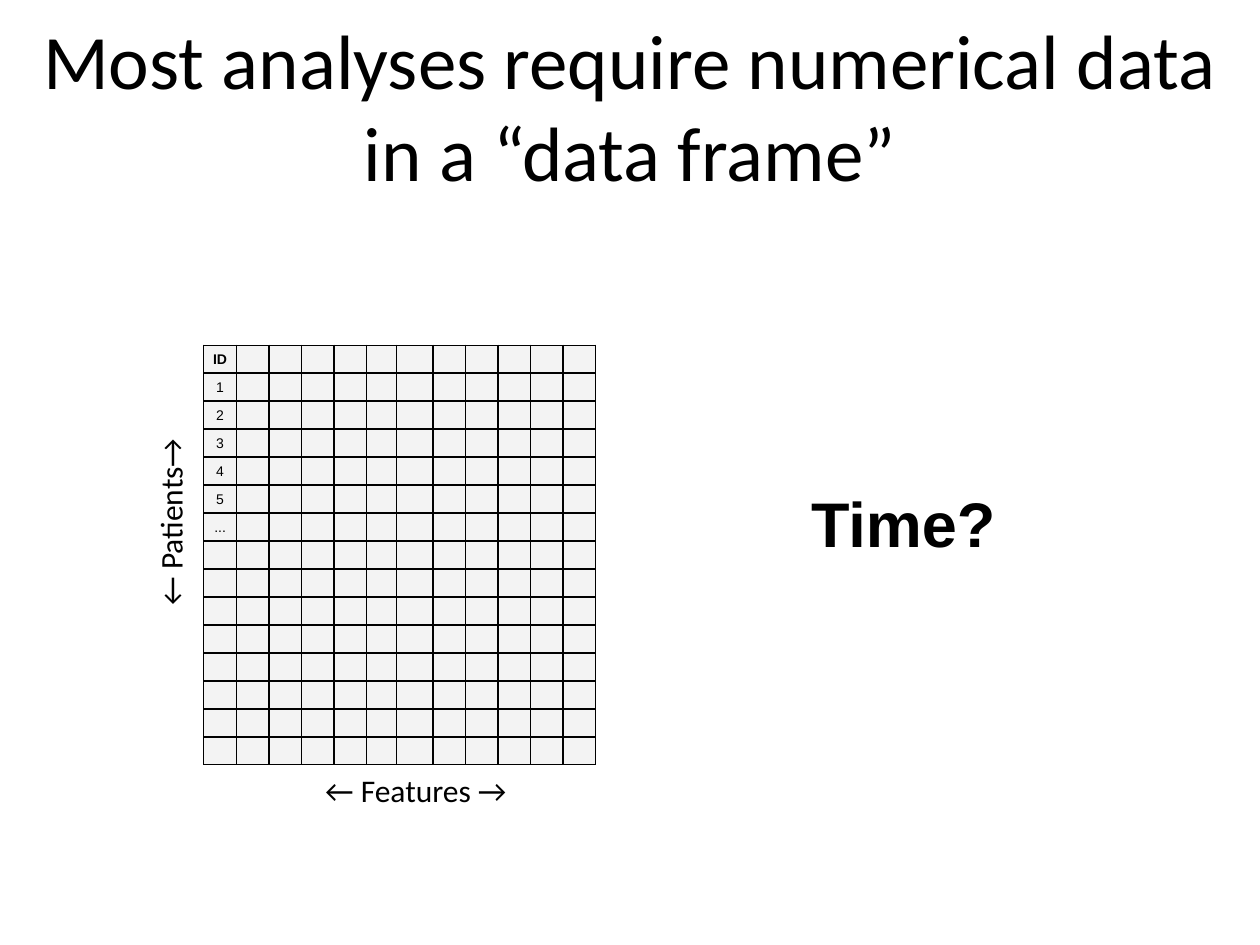
"""Build a slide on numerical data frames of patients and features."""
from lxml import etree
from pptx import Presentation, util as u
from pptx.dml.color import RGBColor
from pptx.enum import text
from pptx.oxml.ns import qn

HUES = {"ink": "000000", "cell": "F3F3F3"}
BODY = {"name": "Calibri", "size": u.Pt(18)}
MID = text.PP_ALIGN.CENTER
LEFT = text.PP_ALIGN.LEFT

NOTES = [
    ("Most analyses require numerical data in a “data frame”", (0, 0, 25.4, 4.67),
     {"name": "Calibri", "size": u.Pt(44)}, MID, 0.25, 0, True),
    ("← Patients→", (0.43, 10.01, 6, 1.02), BODY, MID, 0.13, 270, True),
    ("← Features →", (5.82, 15.42, 5.13, 1.02), BODY, MID, 0.13, 0, True),
    ("Time?", (16.1, 9.63, 4.27, 1.8),
     {"name": "Arial", "size": u.Pt(36), "bold": True}, LEFT, 0.13, 0, False),
]

IDS = ["ID", "1", "2", "3", "4", "5", "..."]
ROWS = 15
PARTS = [26] * 5 + [24, 29] + [26] * 5
GRID = (4.11, 6.96, 7.9, 8.47)
EDGE, INNER = 0.75, 1


def put(item, values):
    for key, value in values.items():
        setattr(item, key, value)


def write(para, words, style, align=MID):
    para.alignment = align
    run = para.add_run()
    run.text = words
    put(run.font, style)
    run.font.color.rgb = RGBColor.from_string(HUES["ink"])


def add_note(slide, words, area, style, align, pad, turn, wrap):
    box = slide.shapes.add_textbox(*map(u.Cm, area))
    box.rotation = turn
    frame = box.text_frame
    put(frame, {
        "word_wrap": wrap,
        "auto_size": text.MSO_AUTO_SIZE.NONE if wrap
        else text.MSO_AUTO_SIZE.SHAPE_TO_FIT_TEXT,
        "vertical_anchor": text.MSO_ANCHOR.TOP,
        "margin_top": u.Cm(pad), "margin_bottom": u.Cm(pad),
        "margin_left": u.Cm(0.25), "margin_right": u.Cm(0.25),
    })
    write(frame.paragraphs[0], words, style, align)


def rule(cell, sides):
    props = cell._tc.get_or_add_tcPr()
    for side, outer in sides.items():
        width = u.Pt(EDGE if outer else INNER)
        line = etree.SubElement(props, qn(f"a:ln{side}"), w=str(int(width)))
        fill = etree.SubElement(line, qn("a:solidFill"))
        etree.SubElement(fill, qn("a:srgbClr"), val=HUES["ink"])


def add_grid(slide):
    cols = len(PARTS)
    table = slide.shapes.add_table(ROWS, cols, *map(u.Cm, GRID)).table
    put(table, {"first_row": False, "horz_banding": False})
    for col, part in zip(table.columns, PARTS):
        col.width = u.Cm(GRID[2] * part / sum(PARTS))
    for r, row in enumerate(table.rows):
        row.height = u.Cm(GRID[3] / ROWS)
        for c, cell in enumerate(row.cells):
            put(cell, {"margin_left": 0, "margin_right": 0, "margin_top": 0,
                       "margin_bottom": 0, "vertical_anchor": text.MSO_ANCHOR.MIDDLE})
            rule(cell, {"L": c == 0, "R": c == cols - 1,
                        "T": r == 0, "B": r == ROWS - 1})
            cell.fill.solid()
            cell.fill.fore_color.rgb = RGBColor.from_string(HUES["cell"])
            para = cell.text_frame.paragraphs[0]
            if c == 0 and r < len(IDS):
                write(para, IDS[r], {"name": "Arial", "size": u.Pt(8), "bold": r == 0})
            else:
                etree.SubElement(para._p, qn("a:endParaRPr"), sz="800")


def main():
    deck = Presentation()
    put(deck, {"slide_width": u.Cm(25.4), "slide_height": u.Cm(19.05)})
    slide = deck.slides.add_slide(deck.slide_layouts[6])
    add_note(slide, *NOTES[0])
    add_grid(slide)
    for note in NOTES[1:]:
        add_note(slide, *note)
    deck.save("out.pptx")


if __name__ == "__main__":
    main()
